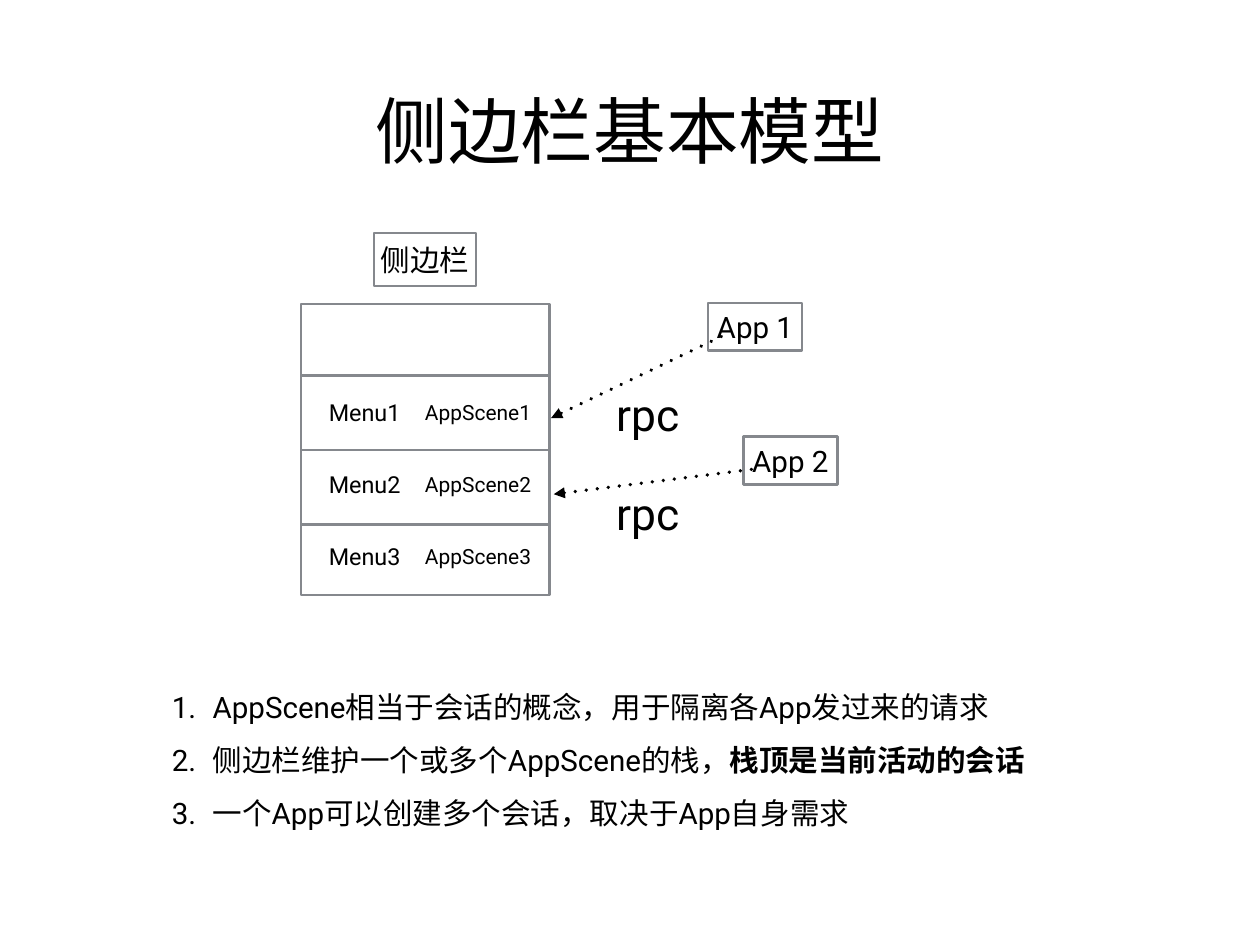
from dataclasses import dataclass

from lxml import etree
from pptx import Presentation
from pptx.dml.color import RGBColor
from pptx.enum.shapes import MSO_CONNECTOR, MSO_SHAPE
from pptx.enum.text import MSO_ANCHOR, MSO_AUTO_SIZE, PP_ALIGN
from pptx.oxml.ns import qn
from pptx.util import Pt

PX = 9144  # EMU; 100 px to the inch
RECTANGLE = MSO_SHAPE.RECTANGLE
STRAIGHT = MSO_CONNECTOR.STRAIGHT
MIDDLE = MSO_ANCHOR.MIDDLE
NO_AUTOFIT = MSO_AUTO_SIZE.NONE
LEFT, CENTER = PP_ALIGN.LEFT, PP_ALIGN.CENTER


@dataclass(frozen=True)
class Theme:
    font: str = "Roboto"
    ink: RGBColor = RGBColor(0, 0, 0)
    frame: RGBColor = RGBColor(0x85, 0x88, 0x8D)
    title: int = 59
    rpc: int = 36
    body: int = 24
    menu: int = 19
    scene: int = 17
    frame_width: int = 2
    arrow_width: int = 3
    inset: int = 6


THEME = Theme()
NOTES = [
    [("AppScene相当于会话的概念，用于隔离各App发过来的请求", False)],
    [("侧边栏维护一个或多个AppScene的栈，", False), ("栈顶是当前活动的会话", True)],
    [("一个App可以创建多个会话，取决于App自身需求", False)],
]


def px(*lengths):
    return [length * PX for length in lengths]


def place(shape, *box):
    shape.left, shape.top, shape.width, shape.height = px(*box)


def prepare_frame(frame, wrap=True):
    frame.word_wrap = wrap
    frame.auto_size = NO_AUTOFIT
    frame.vertical_anchor = MIDDLE
    frame.margin_left = frame.margin_right = THEME.inset * PX
    frame.margin_top = frame.margin_bottom = THEME.inset * PX


def add_run(paragraph, text, size, bold=False):
    run = paragraph.add_run()
    run.text = text
    run.font.name = THEME.font
    run.font.size = Pt(size)
    run.font.bold = bold
    run.font.color.rgb = THEME.ink
    east_asian = etree.SubElement(run.font._element, qn("a:ea"))
    east_asian.set("typeface", THEME.font)


def write_centred(shape, text, size, wrap=True):
    prepare_frame(shape.text_frame, wrap)
    paragraph = shape.text_frame.paragraphs[0]
    paragraph.alignment = CENTER
    add_run(paragraph, text, size)


def add_label(slide, text, size, *box, wrap=True):
    label = slide.shapes.add_textbox(*px(*box))
    write_centred(label, text, size, wrap)


def add_outline(slide, *box):
    outline = slide.shapes.add_shape(RECTANGLE, *px(*box))
    outline.shadow.inherit = False
    outline.fill.background()
    outline.line.color.rgb = THEME.frame
    outline.line.width = Pt(THEME.frame_width)
    return outline


def add_named_box(slide, text, *box):
    write_centred(add_outline(slide, *box), text, THEME.body, wrap=False)


def add_line(slide, start, end, color, width):
    line = slide.shapes.add_connector(STRAIGHT, *px(*start, *end))
    line.line.color.rgb = color
    line.line.width = Pt(width)
    etree.SubElement(line._element.spPr, qn("a:effectLst"))
    return line


def add_dotted_arrow(slide, start, end):
    arrow = add_line(slide, start, end, THEME.ink, THEME.arrow_width)
    outline = arrow.line._get_or_add_ln()
    outline.set("cap", "rnd")
    dashes = etree.SubElement(outline, qn("a:custDash"))
    etree.SubElement(dashes, qn("a:ds"), d="100000", sp="200000")
    etree.SubElement(outline, qn("a:tailEnd"), type="triangle")


def add_stack(slide):
    """Draw the sidebar as a stack: an empty top row over three sessions."""
    add_outline(slide, 340, 343, 280, 329)
    for row in range(3):
        divider = 424 + 84 * row
        add_line(slide, (341, divider), (619, divider),
                 THEME.frame, THEME.frame_width)
        text_top = 444 + 81 * row
        add_label(slide, f"Menu{row + 1}", THEME.menu, 342, text_top, 139, 43)
        add_label(slide, f"AppScene{row + 1}", THEME.scene,
                  470, text_top + 2, 139, 39)


def fill_notes(body):
    place(body, 188, 730, 1214, 236)
    frame = body.text_frame
    prepare_frame(frame)
    for index, parts in enumerate(NOTES):
        paragraph = frame.add_paragraph() if index else frame.paragraphs[0]
        paragraph.alignment = LEFT
        paragraph.line_spacing = 1.5
        paragraph.space_before = Pt(0)
        properties = paragraph._p.get_or_add_pPr()
        properties.set("marL", str(46 * PX))
        properties.set("indent", str(-46 * PX))
        etree.SubElement(properties, qn("a:buFontTx"))
        etree.SubElement(properties, qn("a:buAutoNum"), type="arabicPeriod")
        for text, bold in parts:
            add_run(paragraph, text, THEME.body, bold)


def main():
    deck = Presentation()
    deck.slide_width, deck.slide_height = px(1422, 1067)
    slide = deck.slides.add_slide(deck.slide_layouts[1])
    title, body = slide.placeholders
    place(title, 104, 28, 1214, 236)
    write_centred(title, "侧边栏基本模型", THEME.title)
    fill_notes(body)

    add_named_box(slide, "侧边栏", 422, 263, 115, 60)
    add_stack(slide)
    add_named_box(slide, "App 1", 799, 342, 106, 54)
    add_named_box(slide, "App 2", 839, 493, 106, 54)
    add_dotted_arrow(slide, (814, 380), (622, 472))
    add_dotted_arrow(slide, (848, 530), (625, 558))
    for rpc_top in (432, 543):
        add_label(slide, "rpc", THEME.rpc, 687, rpc_top, 88, 71, wrap=False)
    deck.save("out.pptx")


if __name__ == "__main__":
    main()
